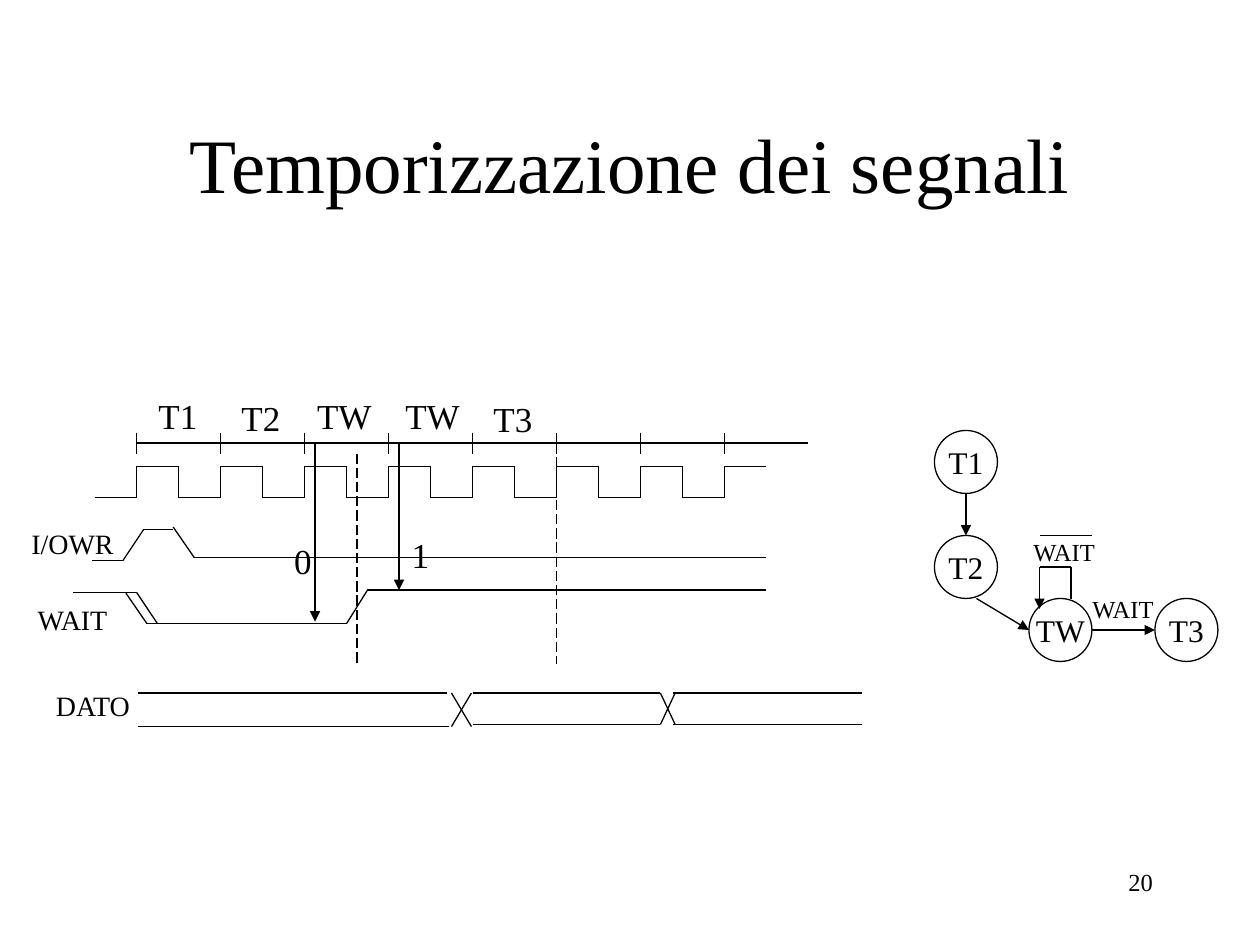
import itertools

import pptx
import pptx.dml.color
import pptx.enum.dml
import pptx.enum.shapes
import pptx.enum.text
import pptx.oxml
import pptx.oxml.ns
import pptx.util

ALIGN = pptx.enum.text.PP_ALIGN
ANCHOR = pptx.enum.text.MSO_ANCHOR
AUTO_SIZE = pptx.enum.text.MSO_AUTO_SIZE


def color(value):
    return pptx.dml.color.RGBColor.from_string(value)


def write_text(frame, text, *, font, size, ink, align=ALIGN.CENTER, anchor=ANCHOR.TOP,
               wrap=False, auto_size=AUTO_SIZE.NONE):
    frame.word_wrap = wrap
    frame.auto_size = auto_size
    frame.vertical_anchor = anchor
    paragraph = frame.paragraphs[0]
    paragraph.text = text
    paragraph.alignment = align
    paragraph.font.name = font
    paragraph.font.size = pptx.util.Pt(size)
    paragraph.font.color.rgb = color(ink)


class Diagram:
    font = "Times New Roman"
    ink = "000000"
    line_width = 0.75
    cells_per_inch = 12

    def __init__(self, slide):
        self.slide = slide

    def grid(self, *cells):
        return [pptx.util.Inches(cell / self.cells_per_inch) for cell in cells]

    def style_line(self, line):
        line.width = pptx.util.Pt(self.line_width)
        line.color.rgb = color(self.ink)

    def text(self, text, column, row, columns, rows, size, **format):
        box = self.slide.shapes.add_textbox(*self.grid(column, row, columns, rows))
        write_text(box.text_frame, text, font=self.font, size=size, ink=self.ink, **format)

    def label(self, text, column, row, columns, size):
        self.text(text, column, row, columns, size / 5 + 1.28, size,
                  auto_size=AUTO_SIZE.SHAPE_TO_FIT_TEXT)

    def line(self, start, end, dashed=False, arrow=False):
        connector = self.slide.shapes.add_connector(
            pptx.enum.shapes.MSO_CONNECTOR.STRAIGHT, *self.grid(*start, *end))
        self.style_line(connector.line)
        if dashed:
            connector.line.dash_style = pptx.enum.dml.MSO_LINE.LONG_DASH
        properties = connector._element.spPr
        if arrow:
            tail = pptx.oxml.parse_xml(
                f'<a:tailEnd {pptx.oxml.ns.nsdecls("a")} type="triangle"/>')
            properties.find(pptx.oxml.ns.qn("a:ln")).append(tail)
        properties.append(pptx.oxml.parse_xml(
            f'<a:effectLst {pptx.oxml.ns.nsdecls("a")}/>'))

    def trace(self, *points):
        for start, end in itertools.pairwise(points):
            self.line(start, end)

    def state(self, name, column, row, diameter=6):
        circle = self.slide.shapes.add_shape(
            pptx.enum.shapes.MSO_SHAPE.OVAL, *self.grid(column, row, diameter, diameter))
        circle.shadow.inherit = False
        circle.fill.background()
        self.style_line(circle.line)
        write_text(circle.text_frame, name, font=self.font, size=18, ink=self.ink,
                   anchor=ANCHOR.MIDDLE)


def draw_clock(diagram):
    first, period, cycles = 13, 8, 8
    axis, high, low = 42.2, 44.4, 47.4
    clock = [(first - period / 2, low)]
    for cycle in range(cycles):
        rise = first + cycle * period
        fall = rise + period / 2
        diagram.line((rise, axis - 1), (rise, axis + 1))
        diagram.line((rise, axis), (rise + period, axis))
        clock += [(rise, low), (rise, high), (fall, high), (fall, low)]
    diagram.trace(*clock[:-1])
    for name, column, row, columns in [("T1", 13.9, 37, 6.1), ("T2", 21.8, 37.2, 6.1),
                                       ("TW", 29, 37, 7.6), ("TW", 37.4, 37, 7.6),
                                       ("T3", 45.8, 37.3, 6.1)]:
        diagram.label(name, column, row, columns, 20)


def draw_signals(diagram):
    diagram.label("I/OWR", 1.8, 49.6, 10.2, 16)
    diagram.trace((8.8, 53.4), (11.7, 53.4), (13.7, 50.4), (16.5, 50.4))
    diagram.trace((16.5, 50.2), (18.5, 53.1), (73, 53.1))

    diagram.label("WAIT", 2.2, 56.8, 9.4, 16)
    diagram.trace((7, 56.4), (13, 56.4), (15, 59.4))
    diagram.trace((12, 56.5), (14, 59.4), (33, 59.4), (35, 56.2), (73, 56.2))

    diagram.label("DATO", 4, 65, 9.7, 16)
    top, bottom = 66, 69
    diagram.trace((13.1, top), (42.6, top))
    diagram.trace((13.1, bottom + 0.2), (42.8, bottom + 0.2))
    diagram.trace((43, top), (44.9, bottom + 0.2))
    diagram.trace((43, bottom + 0.2), (44.9, top))
    for near, far in [(top, bottom), (bottom, top)]:
        diagram.trace((45, near), (62.9, near), (64.3, far))
        diagram.trace((64.1, near), (82.1, near))


def draw_samples(diagram):
    for column, row in [(34, 43.2), (53, 42.2)]:
        diagram.line((column, row), (column, 63.2), dashed=True)
    for column, row in [(30, 59.2), (38, 56.2)]:
        diagram.line((column, 42.2), (column, row), arrow=True)
    diagram.label("0", 26.8, 50.8, 4.1, 20)
    diagram.label("1", 38, 50.2, 4.1, 20)


def draw_states(diagram):
    for name, column, row in [("T1", 89, 41), ("T2", 89, 51), ("TW", 98, 57), ("T3", 110, 57)]:
        diagram.state(name, column, row)
    for start, end in [((92, 47), (92, 51)), ((93, 57), (98, 60)),
                       ((104, 60), (110, 60)), ((99, 54), (99, 58))]:
        diagram.line(start, end, arrow=True)
    diagram.trace((102, 57), (102, 54), (99, 54))
    diagram.line((99, 51), (104, 51))
    diagram.label("WAIT", 97.1, 50.6, 8.5, 14)
    diagram.label("WAIT", 102.7, 56, 8.5, 14)


def main():
    presentation = pptx.Presentation()
    presentation.slide_width = pptx.util.Inches(10)
    presentation.slide_height = pptx.util.Inches(7.5)
    diagram = Diagram(presentation.slides.add_slide(presentation.slide_layouts[6]))
    diagram.text("Temporizzazione dei segnali", 9, 8, 102, 15, 44,
                 anchor=ANCHOR.MIDDLE, wrap=True)
    draw_clock(diagram)
    draw_signals(diagram)
    draw_samples(diagram)
    draw_states(diagram)
    diagram.text("20", 86, 82, 25, 6, 14, align=ALIGN.RIGHT, wrap=True)
    presentation.save("out.pptx")


if __name__ == "__main__":
    main()
